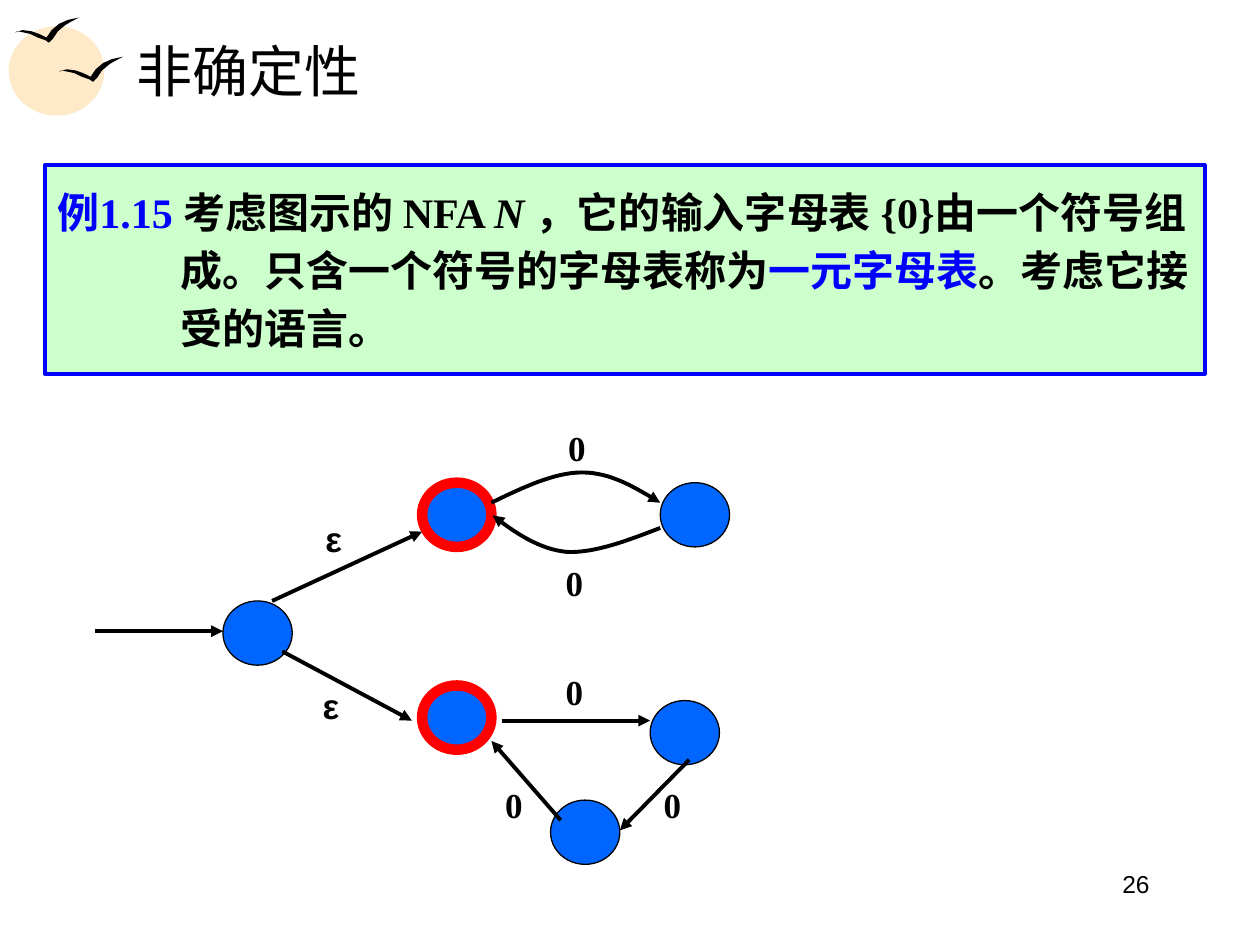
from lxml import etree
from pptx import Presentation
from pptx.dml.color import RGBColor
from pptx.enum.shapes import MSO_CONNECTOR, MSO_SHAPE
from pptx.enum.text import MSO_ANCHOR, MSO_AUTO_SIZE, PP_ALIGN
from pptx.oxml.ns import qn
from pptx.util import Pt

BLACK = RGBColor(0x00, 0x00, 0x00)
BLUE = RGBColor(0x00, 0x00, 0xFF)
STATE_BLUE = RGBColor(0x00, 0x66, 0xFF)
RED = RGBColor(0xFF, 0x00, 0x00)
PALE_GREEN = RGBColor(0xCC, 0xFF, 0xCC)
SUN = RGBColor(0xFE, 0xE9, 0xC8)

OVAL = MSO_SHAPE.OVAL
STRAIGHT = MSO_CONNECTOR.STRAIGHT
LEFT, CENTER, RIGHT = PP_ALIGN.LEFT, PP_ALIGN.CENTER, PP_ALIGN.RIGHT
TOP, MIDDLE = MSO_ANCHOR.TOP, MSO_ANCHOR.MIDDLE
NO_AUTOFIT = MSO_AUTO_SIZE.NONE

SERIF, SANS = "Times New Roman", "Arial"
STATE_WIDTH, STATE_HEIGHT = 39.6, 36.7
CURVE_STEPS = 16

BIRD = [(0, 8.6), (4.3, 7.2), (9.4, 7.9), (13.7, 9.4), (18, 11.5), (20.9, 7.2),
        (25.2, 3.6), (30.2, 1.4), (36.7, 0), (32.4, 2.2), (28.8, 4.3),
        (24.5, 7.9), (21.6, 12.2), (19.4, 14.4), (17.3, 13), (13, 11.5),
        (8.6, 9.4), (5, 8.6), (1.4, 7.9)]

# Everything in the automaton is relative to its top left corner
STATES = [(73.4, 103.4, False), (187.2, 35.8, True), (187.2, 151.7, True),
          (323.3, 35.8, False), (317.5, 160.3, False), (260.6, 217.2, False)]
ARROWS = [((0, 120.7), (73.4, 120.7)), ((101.5, 103.4), (187.2, 63.8)),
          ((107.3, 132.2), (181.4, 171.8)), ((232.6, 171.8), (317.5, 171.8)),
          ((339.8, 194.2), (300.2, 234.5)), ((266.4, 228.7), (226.8, 183.4))]
CURVES = [
    [(226.8, 47.3), (244.8, 38.6), (262.8, 30), (278.6, 30),
     (295.2, 30), (308.9, 38.6), (323.3, 47.3)],
    [(323.3, 61.7), (304.6, 68.9), (285.8, 76.1), (270, 75.4),
     (254.2, 73.9), (240.5, 64.6), (227.5, 54.5)],
]
LABELS = [("ε", 124.6, 52.3), ("ε", 123.1, 147.4), ("0", 263.5, 0),
          ("0", 262.1, 77.5), ("0", 262.1, 139.4), ("0", 227.5, 204.2),
          ("0", 318.2, 204.2)]


def place(shape, left, top, width, height):
    shape.left, shape.top = Pt(left), Pt(top)
    shape.width, shape.height = Pt(width), Pt(height)


def add_run(paragraph, text, *, size, font=SERIF, color=BLACK, bold=False, italic=False):
    run = paragraph.add_run()
    run.text = text
    run.font.name, run.font.size = font, Pt(size)
    run.font.bold, run.font.italic = bold, italic
    run.font.color.rgb = color


def add_text(slide, text, left, top, width, height, *, align, wrap=True, **style):
    box = slide.shapes.add_textbox(Pt(left), Pt(top), Pt(width), Pt(height))
    box.text_frame.word_wrap = wrap
    paragraph = box.text_frame.paragraphs[0]
    paragraph.alignment = align
    add_run(paragraph, text, **style)


def add_outline(slide, points, *, close):
    path = [(Pt(x), Pt(y)) for x, y in points]
    builder = slide.shapes.build_freeform(*path[0], scale=1.0)
    builder.add_line_segments(path[1:], close=close)
    shape = builder.convert_to_shape()
    shape.shadow.inherit = False
    return shape


def style_arrow(shape):
    shape.line.color.rgb = BLACK
    shape.line.width = Pt(2.25)
    line = shape.element.spPr.find(qn("a:ln"))
    etree.SubElement(line, qn("a:tailEnd"), type="triangle")


def curve_points(controls):
    """Sample a chain of cubic curves that share their end points."""
    points = [controls[0]]
    for start in range(0, len(controls) - 1, 3):
        a, b, c, d = controls[start:start + 4]
        for step in range(1, CURVE_STEPS + 1):
            t = step / CURVE_STEPS
            u = 1 - t
            points.append(tuple(
                u**3 * a[i] + 3 * u * u * t * b[i] + 3 * u * t * t * c[i] + t**3 * d[i]
                for i in (0, 1)))
    return points


def add_emblem(slide, left, top):
    sun = slide.shapes.add_shape(OVAL, Pt(left), Pt(top + 5), Pt(54.7), Pt(51.1))
    sun.shadow.inherit = False
    sun.fill.solid()
    sun.fill.fore_color.rgb = SUN
    sun.line.fill.background()
    for bird_left, bird_top in [(left + 28.8, top + 22.4), (left + 3.6, top)]:
        bird = add_outline(
            slide, [(bird_left + x, bird_top + y) for x, y in BIRD], close=True)
        bird.fill.solid()
        bird.fill.fore_color.rgb = BLACK
        bird.line.fill.background()


def fill_title(title, left, top, width, height):
    place(title, left, top, width, height)
    frame = title.text_frame
    frame.auto_size, frame.vertical_anchor = NO_AUTOFIT, MIDDLE
    paragraph = frame.paragraphs[0]
    paragraph.alignment = LEFT
    add_run(paragraph, "非确定性", size=32)


def fill_example(body, left, top, width, height):
    place(body, left, top, width, height)
    body.fill.solid()
    body.fill.fore_color.rgb = PALE_GREEN
    body.line.color.rgb = BLUE
    body.line.width = Pt(2.25)
    frame = body.text_frame
    frame.auto_size, frame.vertical_anchor = NO_AUTOFIT, TOP
    frame.margin_top = Pt(8)

    # Hanging indent without a bullet
    paragraph = frame.paragraphs[0]
    paragraph.line_spacing = 1.15
    paragraph.space_before = Pt(0)
    properties = paragraph._p.get_or_add_pPr()
    properties.set("marL", str(Pt(70.6)))
    properties.set("indent", str(-Pt(70.6)))
    etree.SubElement(properties, qn("a:buNone"))
    for text, style in [
        ("例1.15 ", {"color": BLUE}),
        ("考虑图示的 NFA ", {}),
        ("N ", {"italic": True}),
        ("，它的输入字母表 {0}由一个符号组成。只含一个符号的字母表称为", {}),
        ("一元字母表", {"color": BLUE}),
        ("。考虑它接受的语言。", {}),
    ]:
        add_run(paragraph, text, size=24, bold=True, **style)


def add_automaton(slide, left, top):
    # States, with a thick red ring on the accepting ones
    for x, y, accepting in STATES:
        state = slide.shapes.add_shape(
            OVAL, Pt(left + x), Pt(top + y), Pt(STATE_WIDTH), Pt(STATE_HEIGHT))
        state.shadow.inherit = False
        state.fill.solid()
        state.fill.fore_color.rgb = STATE_BLUE
        state.line.color.rgb = RED if accepting else BLACK
        state.line.width = Pt(6 if accepting else 0.75)

    # Straight transitions
    for (x1, y1), (x2, y2) in ARROWS:
        arrow = slide.shapes.add_connector(
            STRAIGHT, Pt(left + x1), Pt(top + y1), Pt(left + x2), Pt(top + y2))
        style_arrow(arrow)
        etree.SubElement(arrow.element.spPr, qn("a:effectLst"))

    # Curved transitions
    for controls in CURVES:
        points = [(left + x, top + y) for x, y in curve_points(controls)]
        curve = add_outline(slide, points, close=False)
        curve.fill.background()
        style_arrow(curve)

    # Input symbols
    for text, x, y in LABELS:
        add_text(slide, text, left + x, top + y, 24, 31.7, align=CENTER, wrap=False,
                 size=20, bold=True, font=SANS if text == "ε" else SERIF)


def main():
    presentation = Presentation()
    presentation.slide_width, presentation.slide_height = Pt(720), Pt(540)
    slide = presentation.slides.add_slide(presentation.slide_layouts[1])
    add_emblem(slide, 5, 10)
    fill_title(slide.shapes.title, 70.6, 15, 614, 50)
    fill_example(slide.placeholders[1], 25.5, 94.5, 663, 119)
    add_automaton(slide, 54, 240)
    add_text(slide, "26", 496, 493, 168, 37.5, align=RIGHT, size=14, font=SANS)
    presentation.save("out.pptx")


if __name__ == "__main__":
    main()
